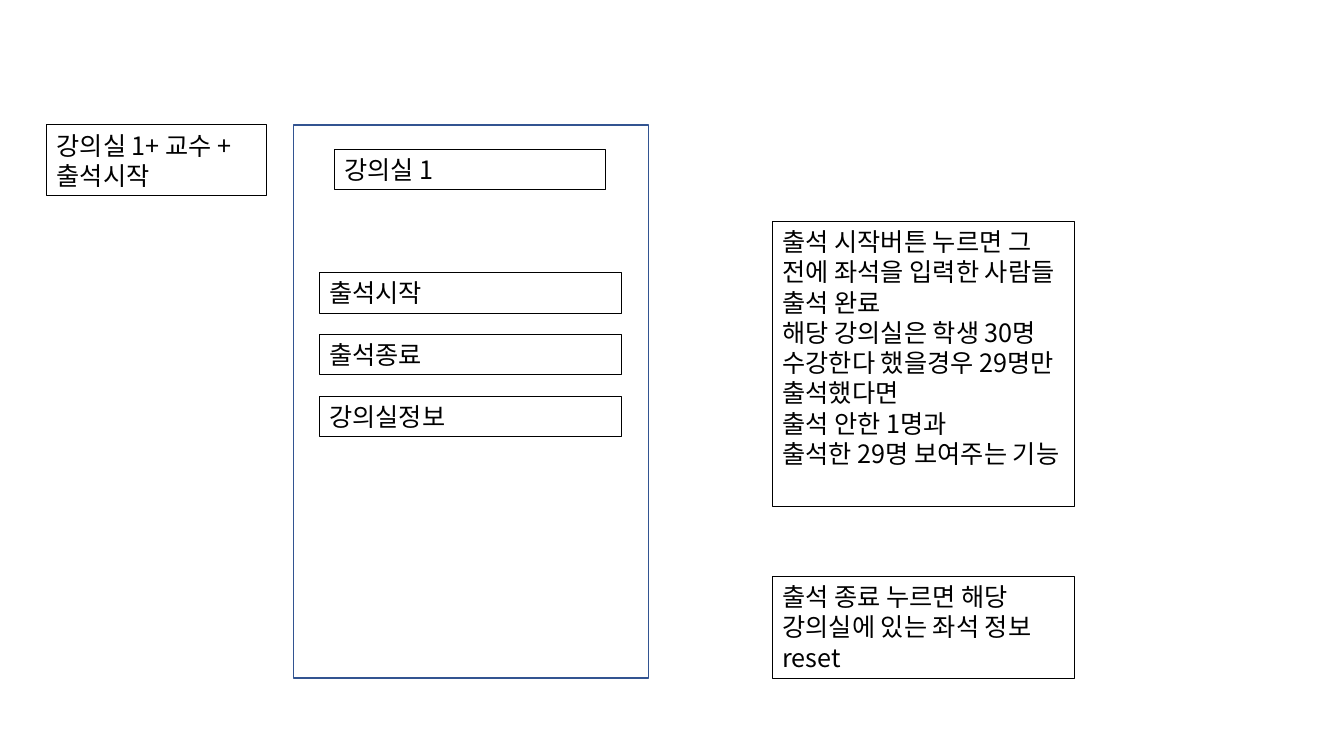
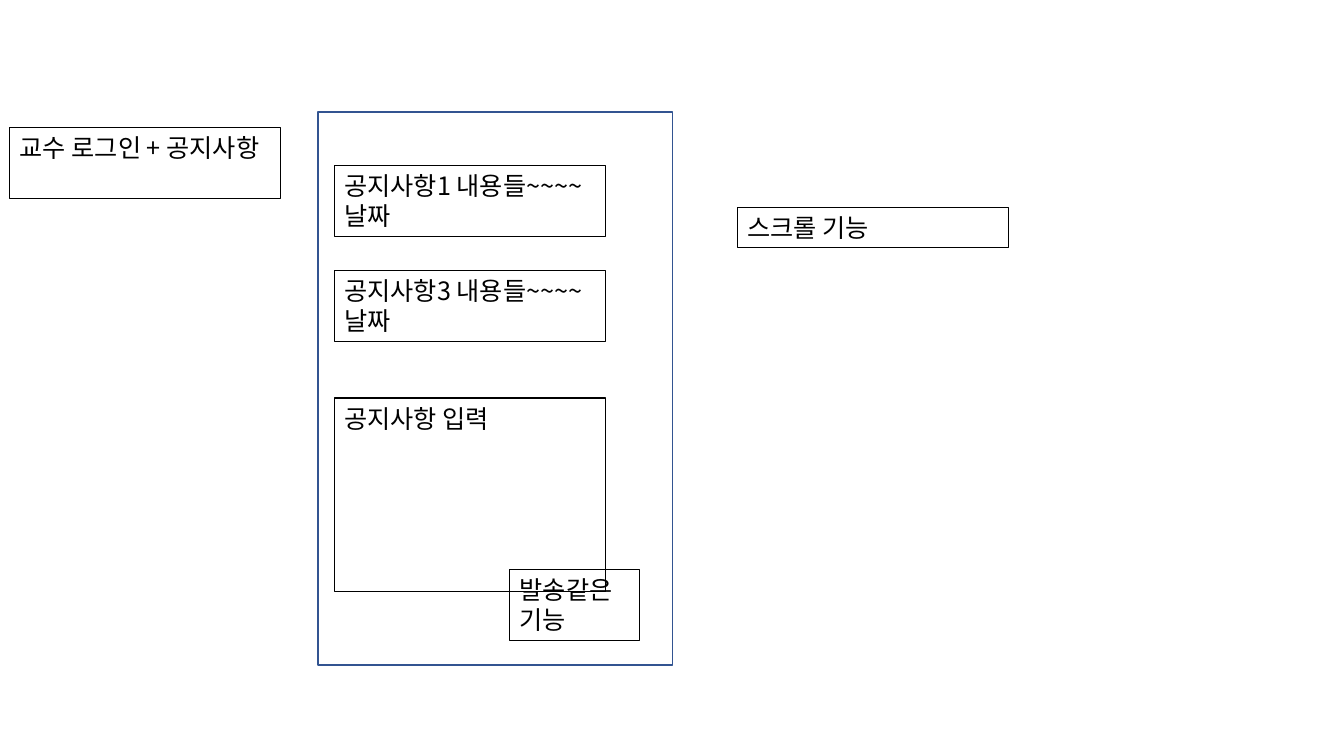
from lxml.etree import SubElement
from pptx import Presentation
from pptx.dml.color import RGBColor
from pptx.enum.shapes import MSO_SHAPE
from pptx.enum.text import MSO_ANCHOR
from pptx.oxml.ns import qn
from pptx.util import Cm, Pt

COLORS = {"text": "000000", "border": "000000", "screen": "FFFFFF", "screen_edge": "325491"}
FONT = "Noto Sans CJK KR"
LINE_HEIGHT, PADDING = 0.77, 0.25  # cm
WIDE, MEDIUM = 7.62, 6.83          # label widths in cm


def add_screen(slide, left, top):
    """Outline of the phone screen."""
    screen = slide.shapes.add_shape(MSO_SHAPE.RECTANGLE, Cm(left), Cm(top), Cm(8.94), Cm(13.94))
    screen.shadow.inherit = False
    screen.fill.solid()
    screen.fill.fore_color.rgb = RGBColor.from_string(COLORS["screen"])
    screen.line.color.rgb = RGBColor.from_string(COLORS["screen_edge"])
    screen.line.width = Pt(1)


def add_label(slide, left, top, width, lines, *texts):
    """Bordered text box, as tall as its number of lines."""
    height = PADDING + LINE_HEIGHT * lines
    label = slide.shapes.add_textbox(Cm(left), Cm(top), Cm(width), Cm(height))
    label.line.color.rgb = RGBColor.from_string(COLORS["border"])
    label.line.width = Pt(0.75)
    frame = label.text_frame
    frame.word_wrap = True
    frame.vertical_anchor = MSO_ANCHOR.TOP
    for i, text in enumerate(texts):
        paragraph = frame.add_paragraph() if i else frame.paragraphs[0]
        paragraph.line_spacing = Pt(21.6)
        run = paragraph.add_run()
        run.text = text
        run.font.size = Pt(18)
        run.font.name = FONT
        run.font.color.rgb = RGBColor.from_string(COLORS["text"])
        SubElement(run.font._element, qn("a:ea"), typeface=FONT)


prs = Presentation()
prs.slide_width, prs.slide_height = Cm(33.87), Cm(19.05)
blank = prs.slide_layouts[6]

# Slide 1: classroom attendance
attendance = prs.slides.add_slide(blank)
add_screen(attendance, 7.4, 3.15)
add_label(attendance, 1.18, 3.15, 5.54, 2, "강의실 1+ 교수 + 출석시작")
add_label(attendance, 8.43, 3.76, MEDIUM, 1, "강의실 1")

# Buttons at equal steps
for row, button in enumerate(["출석시작", "출석종료", "강의실정보"]):
    add_label(attendance, 8.05, 6.87 + 1.56 * row, WIDE, 1, button)

# Explanations beside the screen
add_label(attendance, 19.47, 5.58, WIDE, 9,
          "출석 시작버튼 누르면 그 전에 좌석을 입력한 사람들 출석 완료",
          "해당 강의실은 학생 30명 수강한다 했을경우 29명만 출석했다면",
          "출석 안한 1명과",
          "출석한 29명 보여주는 기능")
add_label(attendance, 19.47, 14.53, WIDE, 3, "출석 종료 누르면 해당 강의실에 있는 좌석 정보 reset")

# Slide 2: notices
notices = prs.slides.add_slide(blank)
add_screen(notices, 8.01, 2.82)
add_label(notices, 0.25, 3.22, MEDIUM, 2, "교수 로그인 + 공지사항")
for row, number in enumerate([1, 3]):
    add_label(notices, 8.43, 4.17 + 2.64 * row, MEDIUM, 2, f"공지사항{number} 내용들~~~~ 날짜")
add_label(notices, 18.59, 5.23, MEDIUM, 1, "스크롤 기능")

# Notice entry and send button
add_label(notices, 8.43, 10.03, MEDIUM, 6, "공지사항 입력")
add_label(notices, 12.85, 14.35, 3.26, 2, "발송같은 기능")

prs.save("out.pptx")
